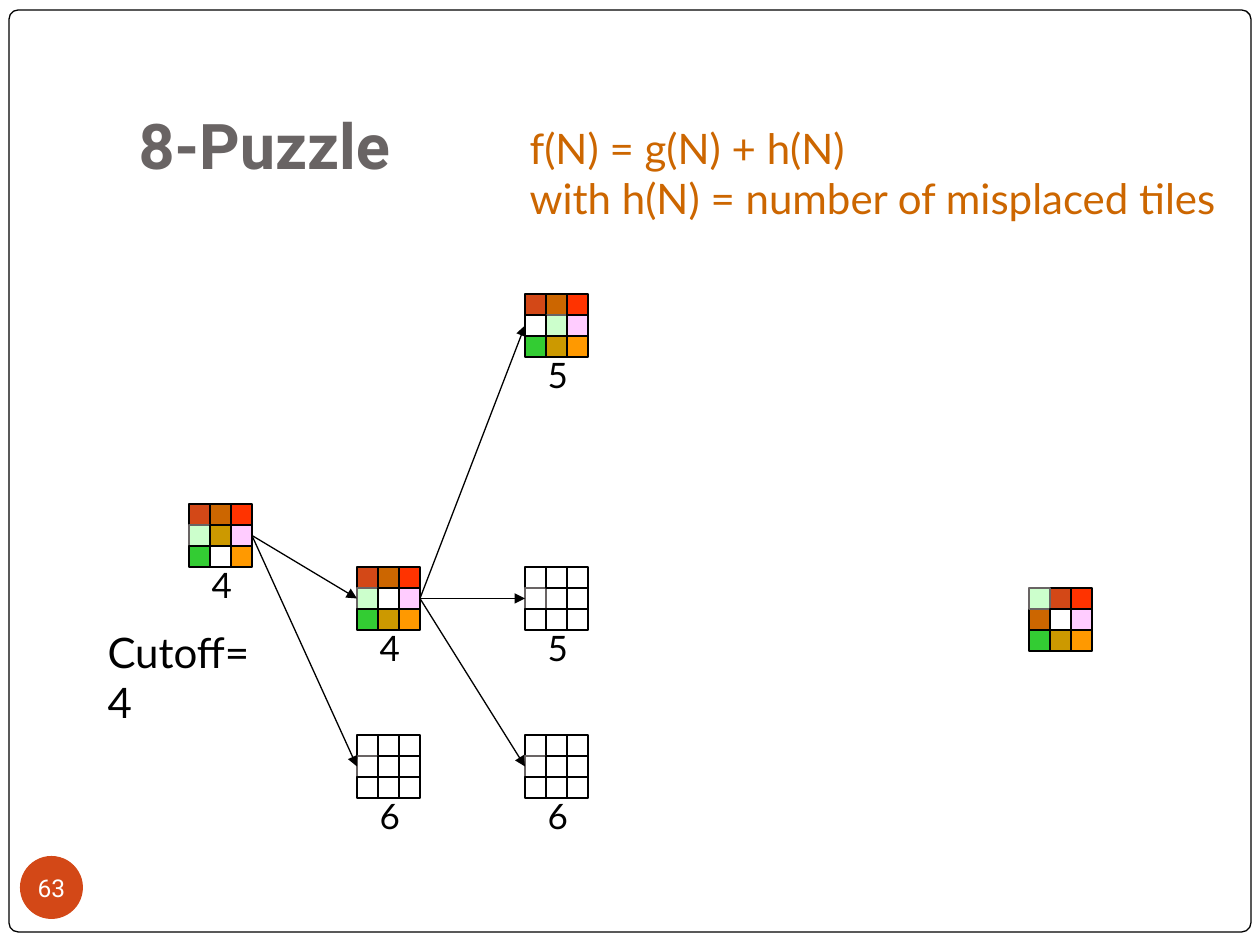
"""Build the 8-puzzle search tree slide."""
from lxml.etree import SubElement
from pptx import Presentation
from pptx.dml.color import RGBColor
from pptx.enum.shapes import MSO_CONNECTOR as CONN, MSO_SHAPE as SHAPE
from pptx.enum.text import MSO_ANCHOR as ANCHOR, PP_ALIGN as ALIGN
from pptx.oxml.ns import qn
from pptx.util import Emu, Pt

PX = 914400 // 126
TILE = 21
BLACK, WHITE, GREY = "000000", "FFFFFF", "696464"
ORANGE, BROWN = "D34817", "CC6600"

TILES = {
    "A": ORANGE, "B": BROWN, "D": "CCFFCC", "E": "CC9900", "F": "FFCCFF",
    "G": "33CC33", "_": WHITE, "H": "FF9900", "C": "FF3300",
}
BOARDS = [
    {"name": "start", "at": (189, 504), "tiles": "ABCDEFG_H", "cost": "4"},
    {"name": "goal", "at": (1029, 588), "tiles": "DACB_FGEH"},
    {"name": "up", "at": (357, 567), "tiles": "ABCD_FGEH", "cost": "4", "parent": "start"},
    {"name": "side", "at": (357, 735), "tiles": "ABCDEFG_H", "cost": "6",
     "parent": "start", "blank": True},
    {"name": "low", "at": (525, 735), "tiles": "ABCD_FGEH", "cost": "6",
     "parent": "up", "blank": True},
    {"name": "middle", "at": (525, 567), "tiles": "A_CDBFGEH", "cost": "5",
     "parent": "up", "blank": True},
    {"name": "left", "at": (525, 294), "tiles": "ABC_DFGEH", "cost": "5", "parent": "up"},
]
NOTES = [
    ((95, 620, 191, 63), ["Cutoff=4"], BLACK),
    ((517, 116, 733, 113),
     ["f(N) = g(N) + h(N)", "with h(N) = number of misplaced tiles"], BROWN),
]


def px(*values):
    return [Emu(round(v * PX)) for v in values]


def rgb(value):
    return RGBColor.from_string(value)


def add_shape(shapes, kind, box, fill, line=None):
    s = shapes.add_shape(kind, *px(*box))
    s.shadow.inherit = False
    s.fill.solid()
    s.fill.fore_color.rgb = rgb(fill)
    if line:
        s.line.color.rgb = rgb(line)
        s.line.width = Pt(0.75)
    else:
        s.line.fill.background()
    return s


def write(s, lines, size, color, font="Lato", bold=False, align=ALIGN.LEFT,
          anchor=ANCHOR.TOP, margins=(12.6, 6.3, 12.6, 6.3)):
    tf = s.text_frame
    tf.word_wrap = True
    tf.vertical_anchor = anchor
    tf.margin_left, tf.margin_top, tf.margin_right, tf.margin_bottom = px(*margins)
    for i, line in enumerate(lines):
        p = tf.add_paragraph() if i else tf.paragraphs[0]
        p.alignment = align
        r = p.add_run()
        r.text = line
        r.font.name, r.font.size, r.font.bold = font, Pt(size), bold
        r.font.color.rgb = rgb(color)


def add_board(slide, board):
    shapes = slide.shapes.add_group_shape().shapes
    x, y = board["at"]
    blank = board.get("blank")
    if "cost" in board:
        label = shapes.add_textbox(*px(x + 10, y + 53, 44, 54))
        write(label, [board["cost"]], 20, BLACK)
    cells = {}
    for key, color in TILES.items():
        place = board["tiles"].index(key)
        row, col = divmod(place, 3)
        cells[place] = add_shape(
            shapes, SHAPE.RECTANGLE, (x + col * TILE, y + row * TILE, TILE, TILE),
            WHITE if blank else color, GREY if key == "D" else BLACK)
    return cells


def add_arrow(slide, start, end):
    c = slide.shapes.add_connector(CONN.STRAIGHT, 0, 0, 0, 0)
    c.begin_connect(start, 3)
    c.end_connect(end, 1)
    c.line.color.rgb = rgb(BLACK)
    c.line.width = Pt(0.75)
    SubElement(c.line._get_or_add_ln(), qn("a:tailEnd"), type="triangle")
    SubElement(c._element.spPr, qn("a:effectLst"))


def main():
    prs = Presentation()
    prs.slide_width, prs.slide_height = px(1260, 945)
    slide = prs.slides.add_slide(prs.slide_layouts[5])

    frame = add_shape(slide.shapes, SHAPE.ROUNDED_RECTANGLE, (9, 10, 1242, 922), WHITE, BLACK)
    frame.adjustments[0] = 0.01
    slide.shapes._spTree.insert(2, frame._element)

    title = slide.shapes.title
    title.left, title.top, title.width, title.height = px(126, 38, 1071, 157)
    write(title, ["8-Puzzle"], 36, GREY, "Roboto", True, anchor=ANCHOR.BOTTOM,
          margins=(12.6, 6.3, 12.6, 12.6))

    number = add_shape(slide.shapes, SHAPE.OVAL, (20, 856, 63, 63), ORANGE)
    write(number, ["63"], 14, WHITE, "Roboto", align=ALIGN.CENTER,
          anchor=ANCHOR.MIDDLE, margins=(0, 0, 0, 0))

    cells = {}
    for board in BOARDS:
        name = board["name"]
        cells[name] = add_board(slide, board)
        if "parent" in board:
            add_arrow(slide, cells[board["parent"]][5], cells[name][3])

    for box, lines, color in NOTES:
        write(slide.shapes.add_textbox(*px(*box)), lines, 24, color)

    prs.save("out.pptx")


if __name__ == "__main__":
    main()
